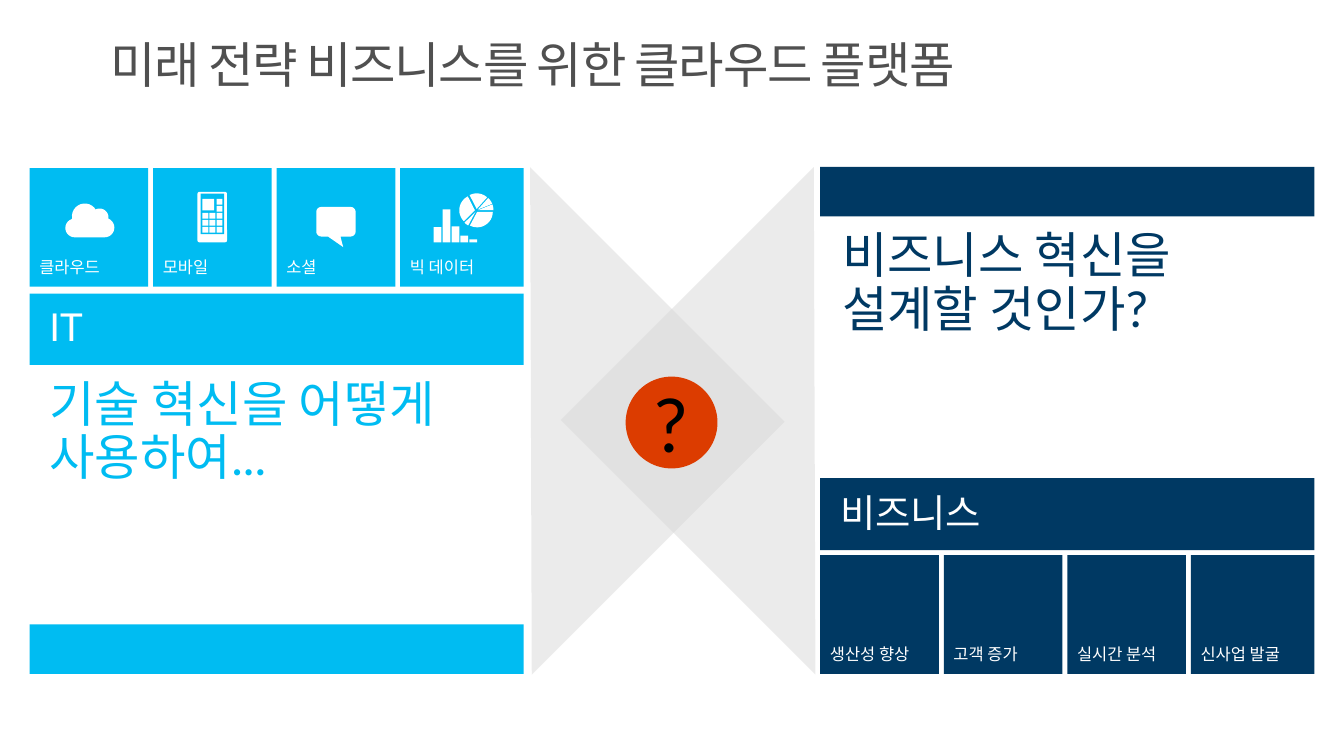
from dataclasses import dataclass
from math import cos, radians, sin

from lxml import etree
from pptx import Presentation
from pptx import util as u
from pptx.dml import color as c
from pptx.enum import shapes as s, text as t
from pptx.oxml import ns


@dataclass(frozen=True)
class Theme:
    sky: str = "00BCF2"
    navy: str = "003963"
    orange: str = "DC3C00"
    gray: str = "D9D9D9"
    ink: str = "505050"
    white: str = "FFFFFF"
    black: str = "000000"
    latin: str = "Lato"
    korean: str = "Noto Sans CJK KR"
    headline: int = 36
    header: int = 28
    label: int = 12
    mark: int = 54


THEME = Theme()
WIDTH = 12.7
PITCH = 3.175
TILE = 3.05


def paint(shape, fill, alpha=None):
    shape.shadow.inherit = False
    shape.fill.solid()
    shape.fill.fore_color.rgb = c.RGBColor.from_string(fill)
    shape.line.fill.background()
    if alpha:
        tint = shape.fill._xPr.find(".//" + ns.qn("a:srgbClr"))
        etree.SubElement(tint, ns.qn("a:alpha"), val=str(alpha * 1000))
    return shape


def add_block(page, left, top, width, height, fill,
              kind=s.MSO_SHAPE.RECTANGLE, alpha=None):
    frame = [u.Cm(value) for value in (left, top, width, height)]
    return paint(page.shapes.add_shape(kind, *frame), fill, alpha)


def add_outline(page, left, top, points, fill):
    spots = [(u.Cm(left + x), u.Cm(top + y)) for x, y in points]
    builder = page.shapes.build_freeform(*spots[0])
    builder.add_line_segments(spots[1:], close=True)
    return paint(builder.convert_to_shape(), fill)


def arc(x, y, radius, start, end, steps=12):
    angles = [radians(start + (end - start) * i / steps) for i in range(steps + 1)]
    return [(x + radius * cos(a), y + radius * sin(a)) for a in angles]


def write(shape, text, size, color, font=THEME.latin, anchor=t.MSO_ANCHOR.TOP,
          align=t.PP_ALIGN.LEFT, insets=(0.51, 0.41, 0.51, 0.41),
          leading=0.9, tracking=None):
    frame = shape.text_frame
    frame.word_wrap = True
    frame.auto_size = t.MSO_AUTO_SIZE.NONE
    frame.vertical_anchor = anchor
    (frame.margin_left, frame.margin_top,
     frame.margin_right, frame.margin_bottom) = [u.Cm(value) for value in insets]
    para = frame.paragraphs[0]
    para.alignment = align
    para.line_spacing = leading
    span = para.add_run()
    span.text = text
    span.font.size = u.Pt(size)
    span.font.name = font
    span.font.color.rgb = c.RGBColor.from_string(color)
    properties = span.font._element
    properties.find(ns.qn("a:latin")).addnext(
        etree.Element(ns.qn("a:ea"), typeface=THEME.korean))
    if tracking:
        properties.set("spc", str(tracking * 100))


def add_headline(page, left, top, width, height, text, color):
    box = page.shapes.add_textbox(*[u.Cm(v) for v in (left, top, width, height)])
    write(box, text, THEME.headline, color, insets=(0.51, 0.38, 0.51, 0.13))


def add_tiles(page, left, top, labels, fill):
    for index, label in enumerate(labels):
        width = PITCH if index == len(labels) - 1 else TILE
        tile = add_block(page, left + index * PITCH, top, width, TILE, fill)
        write(tile, label, THEME.label, THEME.white, anchor=t.MSO_ANCHOR.BOTTOM,
              insets=(0.25, 0.41, 0.51, 0.25), leading=1.0)


def draw_cloud(page, left, top):
    points = (arc(1.16, 1.54, 0.24, 90, 250) + arc(1.42, 1.24, 0.33, 170, 332)
              + arc(1.8, 1.27, 0.23, 241, 353) + arc(1.93, 1.53, 0.25, 292, 450))
    add_outline(page, left, top, points, THEME.white)


def draw_phone(page, left, top):
    case = add_block(page, left + 1.14, top + 0.61, 0.76, 1.3, THEME.white,
                     s.MSO_SHAPE.ROUNDED_RECTANGLE)
    case.adjustments[0] = 0.07
    add_block(page, left + 1.22, top + 0.66, 0.61, 1.04, THEME.sky)
    add_block(page, left + 1.27, top + 0.79, 0.3, 0.3, THEME.white)
    for row in range(5):
        for column in range(3):
            if row > 1 or column > 1:
                add_block(page, left + 1.27 + column * 0.18, top + 0.79 + row * 0.18,
                          0.15, 0.15, THEME.white)


def draw_bubble(page, left, top):
    points = (arc(1.15, 1.13, 0.13, 180, 270) + arc(1.9, 1.13, 0.13, 270, 360)
              + arc(1.9, 1.63, 0.13, 0, 90)
              + [(1.64, 1.76), (1.71, 2.03), (1.32, 1.76)]
              + arc(1.15, 1.63, 0.13, 90, 180))
    add_outline(page, left, top, points, THEME.white)


def draw_charts(page, left, top):
    for index, height in enumerate((0.39, 0.85, 0.41, 0.17, 0.08)):
        add_block(page, left + 0.86 + index * 0.23, top + 1.91 - height,
                  0.2, height, THEME.white)
    bounds = (0, 118, 135, 243, 312, 338, 360)
    for start, end in zip(bounds, bounds[1:]):
        middle = radians((start + end) / 2)
        x, y = 1.96 + 0.04 * cos(middle), 1.09 + 0.04 * sin(middle)
        add_outline(page, left, top, [(x, y)] + arc(x, y, 0.4, start, end), THEME.white)


def add_technology(page, left, top):
    header = add_block(page, left, top + 3.23, WIDTH, 1.83, THEME.sky)
    write(header, "IT", THEME.header, THEME.white, anchor=t.MSO_ANCHOR.MIDDLE)
    add_headline(page, left, top + 5.05, WIDTH, 3.56,
                 "기술 혁신을 어떻게 사용하여...", THEME.sky)
    add_tiles(page, left, top, ("클라우드", "모바일", "소셜", "빅 데이터"), THEME.sky)
    icons = (draw_cloud, draw_phone, draw_bubble, draw_charts)
    for index, draw in enumerate(icons):
        draw(page, left + index * PITCH, top)
    add_block(page, left, top + 11.73, WIDTH, 1.27, THEME.sky)


def add_business(page, left, top):
    add_block(page, left, top, WIDTH, 1.27, THEME.navy)
    add_headline(page, left + 0.05, top + 1.27, 11.68, 3.28,
                 "비즈니스 혁신을 설계할 것인가?", THEME.navy)
    header = add_block(page, left, top + 8, WIDTH, 1.85, THEME.navy)
    write(header, "비즈니스", THEME.header, THEME.white)
    add_tiles(page, left, top + 9.98,
              ("생산성 향상", "고객 증가", "실시간 분석", "신사업 발굴"), THEME.navy)


def add_crossing(page, left, top):
    for offset, angle in ((0, 225), (7.29, 45)):
        arrow = add_block(page, left + offset, top, 9.25, 9.19, THEME.gray,
                          s.MSO_SHAPE.RIGHT_TRIANGLE, alpha=50)
        arrow.rotation = angle
    circle = add_block(page, left + 7.06, top + 3.46, 2.36, 2.36, THEME.orange,
                       s.MSO_SHAPE.OVAL)
    write(circle, "?", THEME.mark, THEME.black, anchor=t.MSO_ANCHOR.MIDDLE,
          align=t.PP_ALIGN.CENTER, insets=(0, 0, 0, 0), leading=1.0)


def add_title(page, left, top, width, height):
    title = page.shapes.title
    title.left, title.top = u.Cm(left), u.Cm(top)
    title.width, title.height = u.Cm(width), u.Cm(height)
    write(title, "미래 전략 비즈니스를 위한 클라우드 플랫폼", THEME.headline, THEME.ink,
          font=THEME.korean, insets=(0.41, 0.25, 0.41, 0.25), tracking=-1)


def main():
    deck = Presentation()
    deck.slide_width, deck.slide_height = u.Cm(34.54), u.Cm(19.43)
    page = deck.slides.add_slide(deck.slide_layouts[5])
    add_title(page, 2.44, 0.81, 29.92, 1.91)
    add_crossing(page, 9.02, 6.22)
    add_technology(page, 0.76, 4.32)
    add_business(page, 21.08, 4.29)
    deck.save("out.pptx")


if __name__ == "__main__":
    main()
